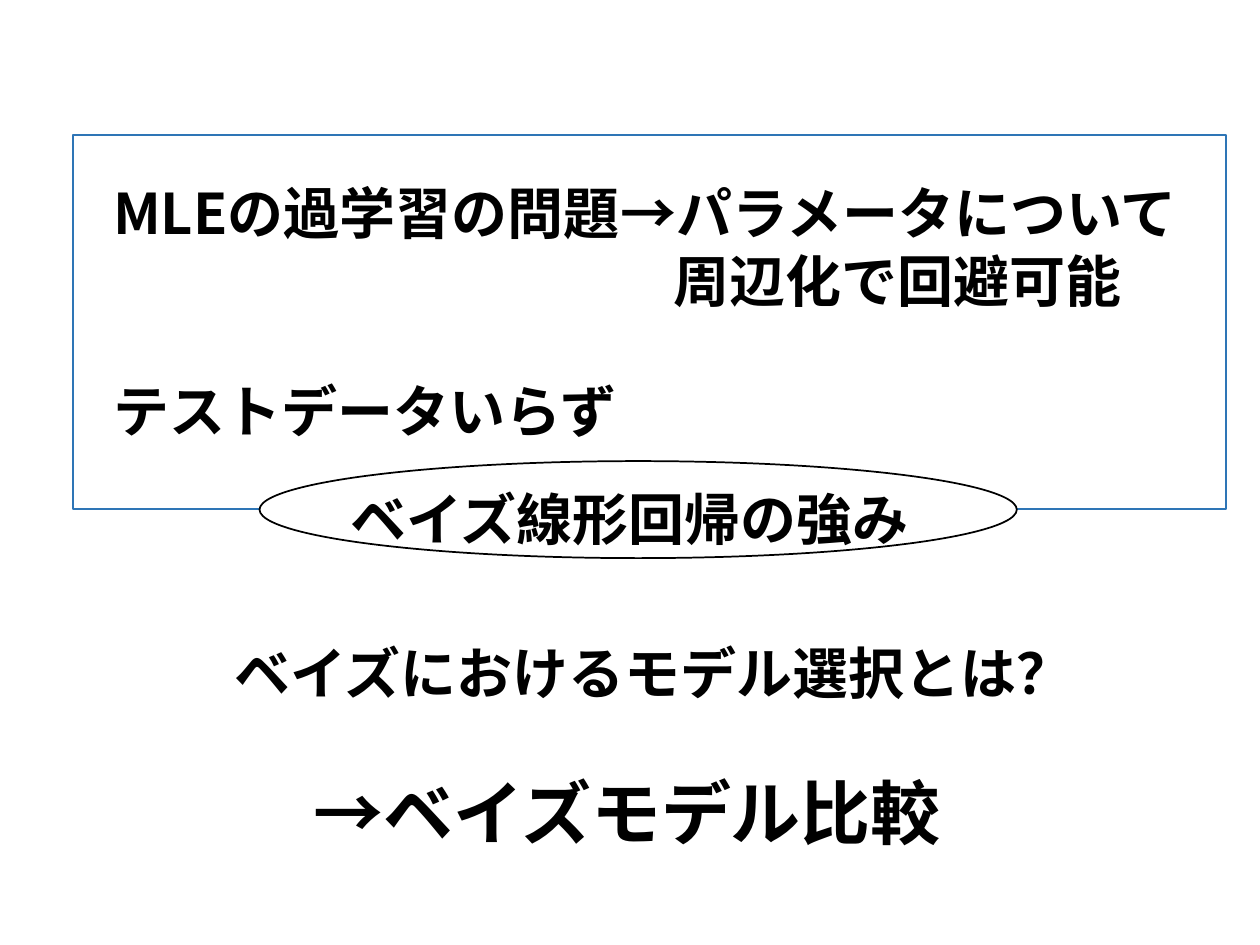
import pptx
import pptx.util
import pptx.dml.color
import pptx.enum.shapes
import pptx.oxml.ns
import lxml.etree

FONT = "Noto Sans CJK JP"
MSO = pptx.enum.shapes.MSO_SHAPE
Inches, Pt = pptx.util.Inches, pptx.util.Pt


def color(hex_text):
    return pptx.dml.color.RGBColor.from_string(hex_text)


def add_text(s, left, top, width, height, size, lines):
    """Add a bold text box; each line is (text, indent in characters)."""
    tf = s.shapes.add_textbox(Inches(left), Inches(top), Inches(width), Inches(height)).text_frame
    tf.word_wrap = True
    for i, (text, indent) in enumerate(lines):
        p = tf.paragraphs[0] if i == 0 else tf.add_paragraph()
        if indent:
            p._p.get_or_add_pPr().set("marL", str(Pt(size * indent)))
        r = p.add_run()
        r.text = text
        r.font.size = Pt(size)
        r.font.bold = True
        r.font.name = FONT
        r.font.color.rgb = color("000000")
        # East Asian typeface
        ea = lxml.etree.SubElement(r._r.get_or_add_rPr(), pptx.oxml.ns.qn("a:ea"))
        ea.set("typeface", FONT)


prs = pptx.Presentation()
prs.slide_width, prs.slide_height = Inches(10), Inches(7.5)
s = prs.slides.add_slide(prs.slide_layouts[6])

# Conclusion and the strengths listed in the frame
add_text(s, 2.39, 6.06, 5.66, 0.77, 40, [("→ベイズモデル比較", 0)])
add_text(s, 0.8, 1.37, 8.77, 1.18, 32,
         [("MLEの過学習の問題→パラメータについて", 0), ("周辺化で回避可能", 10)])
add_text(s, 0.8, 2.94, 4.39, 0.64, 32, [("テストデータいらず", 0)])

# Frame, and the oval that sits on its lower edge
for kind, left, top, width, height, fill, line in [
    (MSO.RECTANGLE, 0.58, 1.07, 9.15, 2.97, None, "2E75B6"),
    (MSO.OVAL, 2.06, 3.66, 6.01, 0.77, "FFFFFF", "000000"),
]:
    sp = s.shapes.add_shape(kind, Inches(left), Inches(top), Inches(width), Inches(height))
    sp.shadow.inherit = False
    if fill:
        sp.fill.solid()
        sp.fill.fore_color.rgb = color(fill)
    else:
        sp.fill.background()
    sp.line.color.rgb = color(line)
    sp.line.width = Pt(1)

# Oval label and the question
add_text(s, 2.68, 3.8, 5.04, 0.64, 32, [("ベイズ線形回帰の強み", 0)])
add_text(s, 1.76, 5.02, 7.3, 0.64, 32, [("ベイズにおけるモデル選択とは？", 0)])

prs.save("out.pptx")
